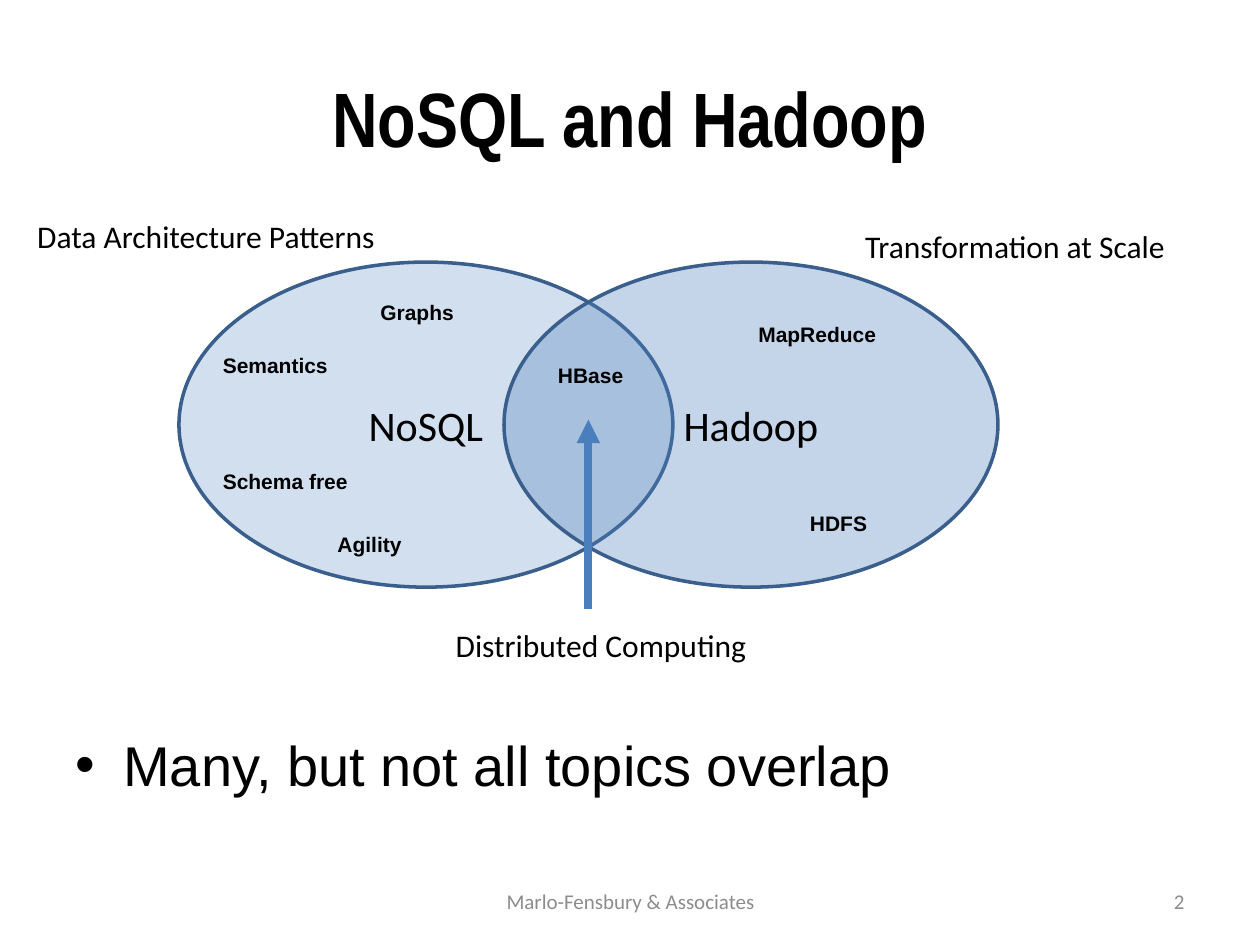
import dataclasses

import pptx
import pptx.dml.color
import pptx.enum.shapes
import pptx.enum.text
import pptx.oxml
import pptx.oxml.ns
import pptx.util

Inches = pptx.util.Inches
Pt = pptx.util.Pt
ALIGN = pptx.enum.text.PP_ALIGN
ANCHOR = pptx.enum.text.MSO_ANCHOR
qn = pptx.oxml.ns.qn


@dataclasses.dataclass(frozen=True)
class Theme:
    ink: str = "000000"
    muted: str = "8C8C8C"
    circle: str = "4F81BD"
    outline: str = "3A5F8C"
    arrow: str = "4B7EBC"
    body_font: str = "Calibri"
    topic_font: str = "Arial"
    title_font: str = "Arial Narrow"
    title_size: int = 44
    bullet_size: int = 32
    circle_size: int = 24
    caption_size: int = 18
    small_size: int = 12


def rgb(color):
    return pptx.dml.color.RGBColor.from_string(color)


def xml_node(tag, **attributes):
    node = pptx.oxml.parse_xml(f"<{tag} {pptx.oxml.ns.nsdecls('a')}/>")
    for name, value in attributes.items():
        node.set(name, str(value))
    return node


class SlideBuilder:
    def __init__(self, slide, theme):
        self.slide = slide
        self.theme = theme

    def fill_text(self, frame, text, size, font, align, color=None, bold=False):
        para = frame.paragraphs[0]
        para.text = text
        para.alignment = align
        para.font.size = Pt(size)
        para.font.name = font
        para.font.bold = bold
        para.font.color.rgb = rgb(color or self.theme.ink)
        return para

    def text(self, text, left, top, width, height, size, font, align=ALIGN.CENTER,
             anchor=ANCHOR.TOP, wrap=True, color=None, bold=False):
        box = self.slide.shapes.add_textbox(
            Inches(left), Inches(top), Inches(width), Inches(height))
        frame = box.text_frame
        frame.word_wrap = wrap
        frame.vertical_anchor = anchor
        if not wrap:
            frame.auto_size = pptx.enum.text.MSO_AUTO_SIZE.SHAPE_TO_FIT_TEXT
        return self.fill_text(frame, text, size, font, align, color, bold)

    def title(self, text):
        self.text(text, 0.5, 0.3, 9, 1.25, self.theme.title_size,
                  self.theme.title_font, anchor=ANCHOR.MIDDLE, bold=True)

    def bullet(self, text):
        para = self.text(text, 0.5, 5.75, 9, 0.95, self.theme.bullet_size,
                         self.theme.topic_font, ALIGN.LEFT)
        para.space_before = Pt(0.2 * self.theme.bullet_size)
        properties = para._p.get_or_add_pPr()
        indent = Inches(0.38)
        properties.set("marL", str(indent))
        properties.set("indent", str(-indent))
        bullet_font = xml_node("a:buFont", typeface=self.theme.topic_font)
        bullet_mark = xml_node("a:buChar", char="•")
        default_font = properties.find(qn("a:defRPr"))
        default_font.addprevious(bullet_font)
        default_font.addprevious(bullet_mark)

    def circle(self, text, left, opacity):
        shape = self.slide.shapes.add_shape(
            pptx.enum.shapes.MSO_SHAPE.OVAL,
            Inches(left), Inches(2.08), Inches(3.92), Inches(2.58))
        shape.shadow.inherit = False
        shape.fill.solid()
        shape.fill.fore_color.rgb = rgb(self.theme.circle)
        fill_color = shape._element.spPr.find(qn("a:solidFill")).find(qn("a:srgbClr"))
        fill_color.append(xml_node("a:alpha", val=opacity * 1000))
        shape.line.color.rgb = rgb(self.theme.outline)
        shape.line.width = Pt(2)
        shape.text_frame.vertical_anchor = ANCHOR.MIDDLE
        self.fill_text(shape.text_frame, text, self.theme.circle_size,
                       self.theme.body_font, ALIGN.CENTER)

    def arrow(self, x, start, end):
        connector = self.slide.shapes.add_connector(
            pptx.enum.shapes.MSO_CONNECTOR.STRAIGHT,
            Inches(x), Inches(start), Inches(x), Inches(end))
        connector.line.color.rgb = rgb(self.theme.arrow)
        connector.line.width = Pt(4.5)
        properties = connector._element.spPr
        properties.find(qn("a:ln")).append(xml_node("a:tailEnd", type="triangle"))
        properties.append(xml_node("a:effectLst"))

    def caption(self, text, left, top, width):
        self.text(text, left, top, width, 0.4, self.theme.caption_size,
                  self.theme.body_font, wrap=False)

    def topic(self, text, left, top, width):
        self.text(text, left, top, width, 0.3, self.theme.small_size,
                  self.theme.topic_font, ALIGN.LEFT, wrap=False, bold=True)

    def footer(self, text, left, width, align):
        self.text(text, left, 6.95, width, 0.4, self.theme.small_size,
                  self.theme.body_font, align, ANCHOR.MIDDLE, color=self.theme.muted)


def main():
    deck = pptx.Presentation()
    deck.slide_width = Inches(10)
    deck.slide_height = Inches(7.5)
    page = SlideBuilder(deck.slides.add_slide(deck.slide_layouts[6]), Theme())

    page.title("NoSQL and Hadoop")
    page.bullet("Many, but not all topics overlap")
    page.circle("NoSQL", 1.42, 25)
    page.circle("Hadoop", 4, 33)
    page.arrow(4.67, 4.83, 3.33)

    for caption in (
        ("Distributed Computing", 3.5, 4.92, 2.54),
        ("Transformation at Scale", 6.75, 1.75, 2.61),
        ("Data Architecture Patterns", 0.18, 1.67, 2.91),
    ):
        page.caption(*caption)

    page.footer("2", 7.17, 2.33, ALIGN.RIGHT)
    page.footer("Marlo-Fensbury & Associates", 3.42, 3.17, ALIGN.CENTER)

    for topic in (
        ("Semantics", 1.67, 2.75, 1.04),
        ("Schema free", 1.67, 3.67, 1.2),
        ("Graphs", 2.92, 2.33, 0.79),
        ("Agility", 2.58, 4.17, 0.72),
        ("MapReduce", 5.92, 2.5, 1.15),
        ("HDFS", 6.33, 4, 0.66),
        ("HBase", 4.33, 2.83, 0.72),
    ):
        page.topic(*topic)

    deck.save("out.pptx")


if __name__ == "__main__":
    main()
